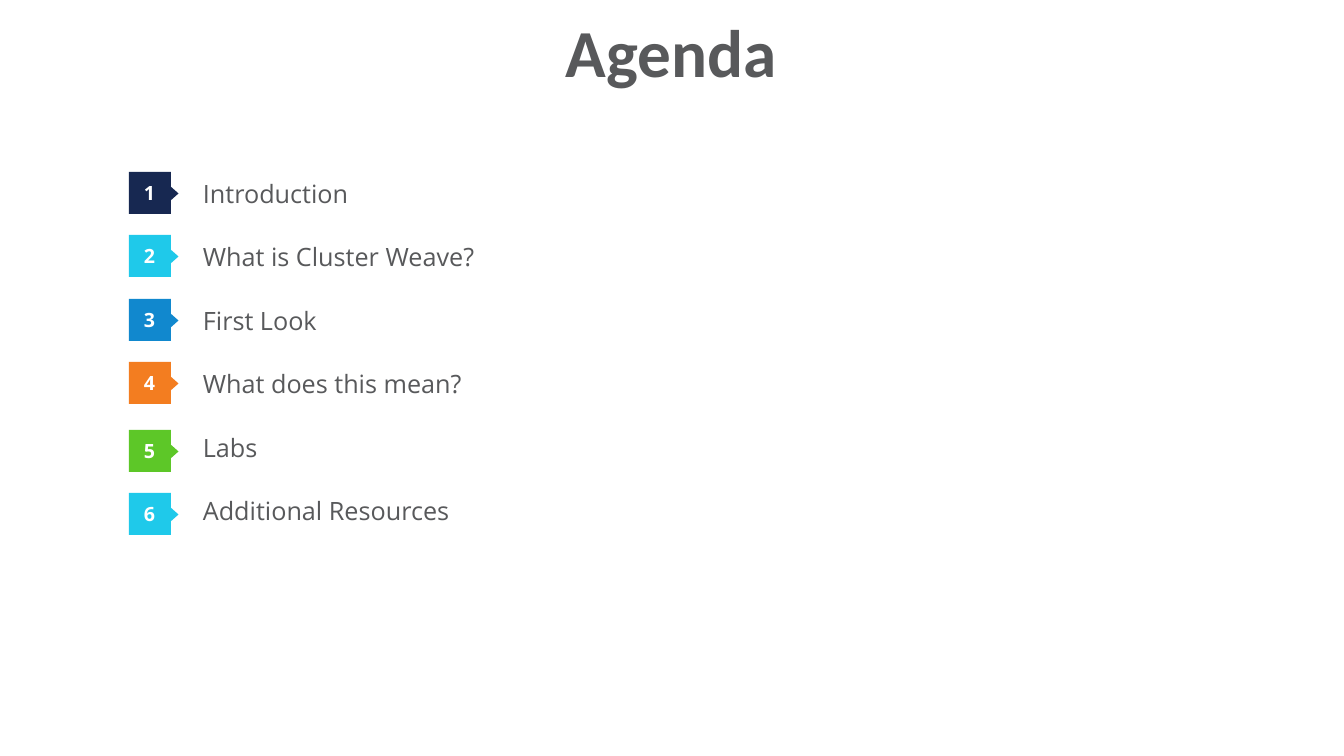
from dataclasses import dataclass

from pptx import Presentation
from pptx.dml.color import RGBColor
from pptx.enum.shapes import MSO_SHAPE
from pptx.enum.text import MSO_ANCHOR, PP_ALIGN
from pptx.util import Pt

RECTANGLE, TRIANGLE = MSO_SHAPE.RECTANGLE, MSO_SHAPE.ISOSCELES_TRIANGLE
LEFT, CENTER = PP_ALIGN.LEFT, PP_ALIGN.CENTER
TOP, MIDDLE = MSO_ANCHOR.TOP, MSO_ANCHOR.MIDDLE
EMU_PER_PX = 914400 / 100.8


@dataclass(frozen=True)
class Theme:
    text: str = "58595B"
    white: str = "FFFFFF"
    navy: str = "172851"
    cyan: str = "1FC9EA"
    blue: str = "1188CE"
    orange: str = "F37D20"
    green: str = "5DC728"
    title_font: str = "Calibri"
    body_font: str = "Open Sans"
    title_size: int = 48
    topic_size: int = 18
    number_size: int = 14


THEME = Theme()


def px(*lengths):
    """Turn pixel lengths into EMU."""
    return [round(length * EMU_PER_PX) for length in lengths]


def write(shape, text, font_name, size, color, bold, align, anchor=TOP):
    frame = shape.text_frame
    frame.word_wrap = True
    frame.vertical_anchor = anchor
    paragraph = frame.paragraphs[0]
    paragraph.text = text
    paragraph.alignment = align
    paragraph.line_spacing = 0.9
    font = paragraph.font
    font.name, font.size, font.bold = font_name, Pt(size), bold
    font.color.rgb = RGBColor.from_string(color)


prs = Presentation()
prs.slide_width, prs.slide_height = px(1344, 756)
slide = prs.slides.add_slide(prs.slide_layouts[5])

title = slide.shapes.title
title.left, title.top, title.width, title.height = px(92, 0, 1159, 111)
write(title, "Agenda", THEME.title_font, THEME.title_size, THEME.text, True, CENTER, MIDDLE)

# Badge top, badge color, topic
agenda = [
    (172, THEME.navy, "Introduction"),
    (235, THEME.cyan, "What is Cluster Weave?"),
    (299, THEME.blue, "First Look"),
    (362, THEME.orange, "What does this mean?"),
    (430, THEME.green, "Labs"),
    (493, THEME.cyan, "Additional Resources"),
]

for index, (badge_top, color, topic) in enumerate(agenda):
    badge = slide.shapes.add_group_shape()
    square = badge.shapes.add_shape(RECTANGLE, *px(129, badge_top, 42, 42))
    pointer = badge.shapes.add_shape(TRIANGLE, *px(166, badge_top + 17, 16, 9))
    pointer.rotation = 90
    for part in (square, pointer):
        part.shadow.inherit = False
        part.fill.solid()
        part.fill.fore_color.rgb = RGBColor.from_string(color)
        part.line.fill.background()

    topic_top = 177 + index * 127 // 2
    topic_box = slide.shapes.add_textbox(*px(193, topic_top, 1059, 45))
    write(topic_box, topic, THEME.body_font, THEME.topic_size, THEME.text, False, LEFT)

    number_box = slide.shapes.add_textbox(*px(129, badge_top + 7, 41, 38))
    write(number_box, str(index + 1), THEME.body_font, THEME.number_size,
          THEME.white, True, CENTER)

prs.save("out.pptx")
